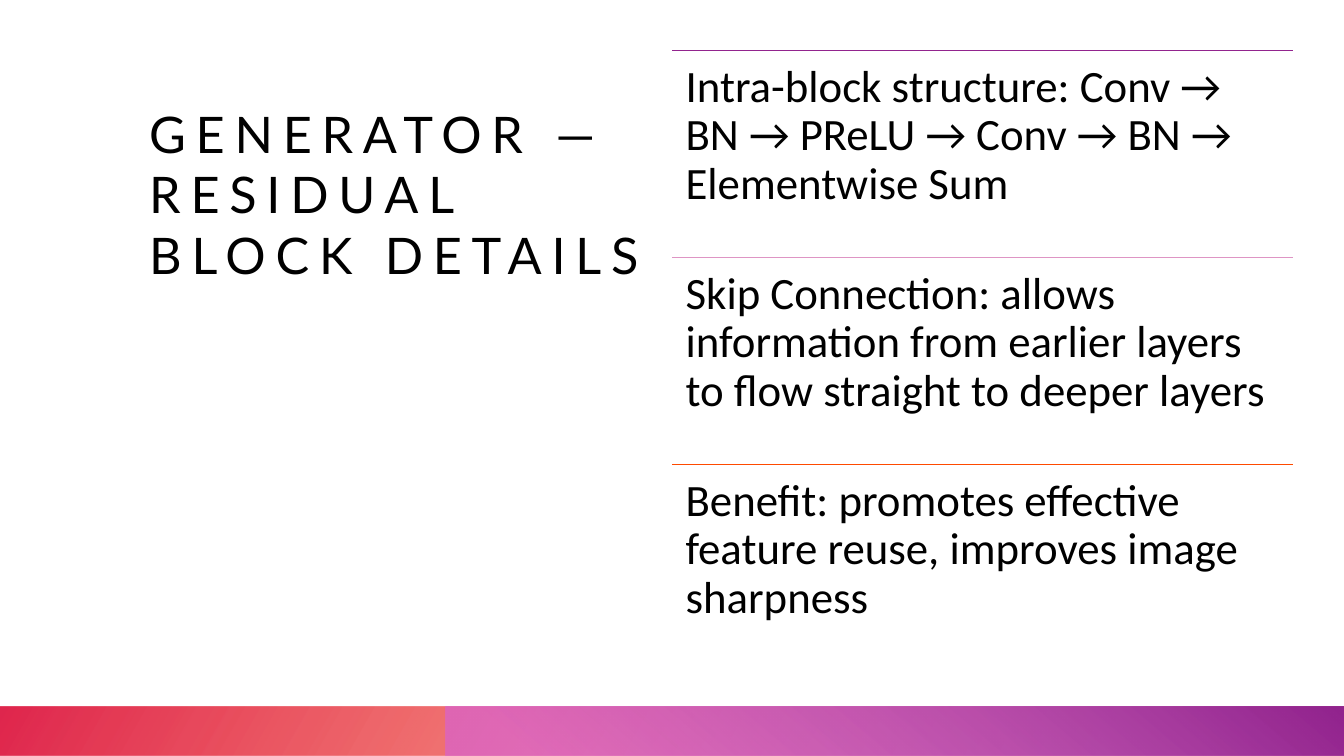
from lxml import etree
from pptx import Presentation
from pptx.dml.color import RGBColor
from pptx.enum import shapes, text
from pptx.oxml import ns
from pptx.util import Inches, Pt

BLACK = RGBColor(0, 0, 0)
ORANGE = RGBColor(0xFE, 0x4A, 0x00)
RED = RGBColor(0xDA, 0x00, 0x2F)
ORCHID = RGBColor(0xD8, 0x61, 0xD4)
PURPLE = RGBColor(0x92, 0x24, 0x8E)
PINK = RGBColor(0xDE, 0x95, 0xC4)

POINTS = [
    ("Intra-block structure: ",
     "Conv → BN → PReLU → Conv → BN → Elementwise Sum", PURPLE),
    ("Skip Connection: ",
     "allows information from earlier layers to flow straight to deeper layers",
     PINK),
    ("Benefit: ",
     "promotes effective feature reuse, improves image sharpness", ORANGE),
]


def add_run(para, words, font, size):
    run = para.add_run()
    run.text = words
    run.font.name = font
    run.font.size = Pt(size)
    run.font.color.rgb = BLACK
    return run


def set_frame(frame, inset):
    frame.word_wrap = True
    frame.auto_size = text.MSO_AUTO_SIZE.NONE
    frame.vertical_anchor = text.MSO_ANCHOR.TOP
    frame.margin_left = frame.margin_right = Inches(inset)
    frame.margin_top = frame.margin_bottom = Inches(inset)


def add_title(slide, x, y, w, h):
    title = slide.shapes.title
    title.left, title.top = Inches(x), Inches(y)
    title.width, title.height = Inches(w), Inches(h)
    set_frame(title.text_frame, 0)
    para = title.text_frame.paragraphs[0]
    para.alignment = text.PP_ALIGN.LEFT
    para.line_spacing = 1.0
    run = add_run(para, "GENERATOR — RESIDUAL BLOCK DETAILS", "Lato", 36)
    run.font._element.set("spc", "700")  # letter spacing, 1/100 pt


def add_band(slide, x, y, w, h, stops, angle, turn=0):
    """Mirrored gradient strip; stops are (position, colour, opacity %)."""
    band = slide.shapes.add_shape(
        shapes.MSO_SHAPE.RECTANGLE, Inches(x), Inches(y), Inches(w), Inches(h))
    band.shadow.inherit = False
    band.line.fill.background()
    band.rotation = turn
    band._element.spPr.find(ns.qn("a:xfrm")).set("flipH", "1")
    band.fill.gradient()
    band.fill.gradient_angle = 360 - angle
    for stop, (place, color, alpha) in zip(band.fill.gradient_stops, stops):
        stop.position = place
        stop.color.rgb = color
    for node, (_, _, alpha) in zip(
            band._element.spPr.iter(ns.qn("a:srgbClr")), stops):
        etree.SubElement(node, ns.qn("a:alpha")).set("val", str(alpha * 1000))


def add_footer(slide, x, y, w, h):
    split = 4.42
    add_band(slide, x, y, w, h,
             [(0.14, ORANGE, 28), (1, RED, 85)], 150, turn=180)
    add_band(slide, x + split, y, w - split, h,
             [(0.09, ORCHID, 68), (0.99, PURPLE, 100)], 230)


def add_points(slide, x, y, w, h):
    step = h / len(POINTS)
    for i, (label, body, color) in enumerate(POINTS):
        top = y + i * step
        # Rule above the point
        rule = slide.shapes.add_connector(
            shapes.MSO_CONNECTOR.STRAIGHT,
            Inches(x), Inches(top), Inches(x + w), Inches(top))
        rule.line.color.rgb = color
        rule.line.width = Pt(1)
        etree.SubElement(rule._element.spPr, ns.qn("a:effectLst"))
        # Wording
        box = slide.shapes.add_textbox(
            Inches(x), Inches(top), Inches(w), Inches(step))
        set_frame(box.text_frame, 0.13)
        para = box.text_frame.paragraphs[0]
        para.line_spacing = 0.9
        add_run(para, label, "Calibri", 32)
        add_run(para, body, "Calibri", 32)


def main():
    deck = Presentation()
    deck.slide_width, deck.slide_height = Inches(13.33), Inches(7.5)
    slide = deck.slides.add_slide(deck.slide_layouts[5])
    add_title(slide, 1.48, 1.02, 5.02, 4.99)
    add_footer(slide, 0, 7.01, 13.33, 0.49)
    add_points(slide, 6.67, 0.5, 6.15, 6.16)
    deck.save("out.pptx")


if __name__ == "__main__":
    main()
